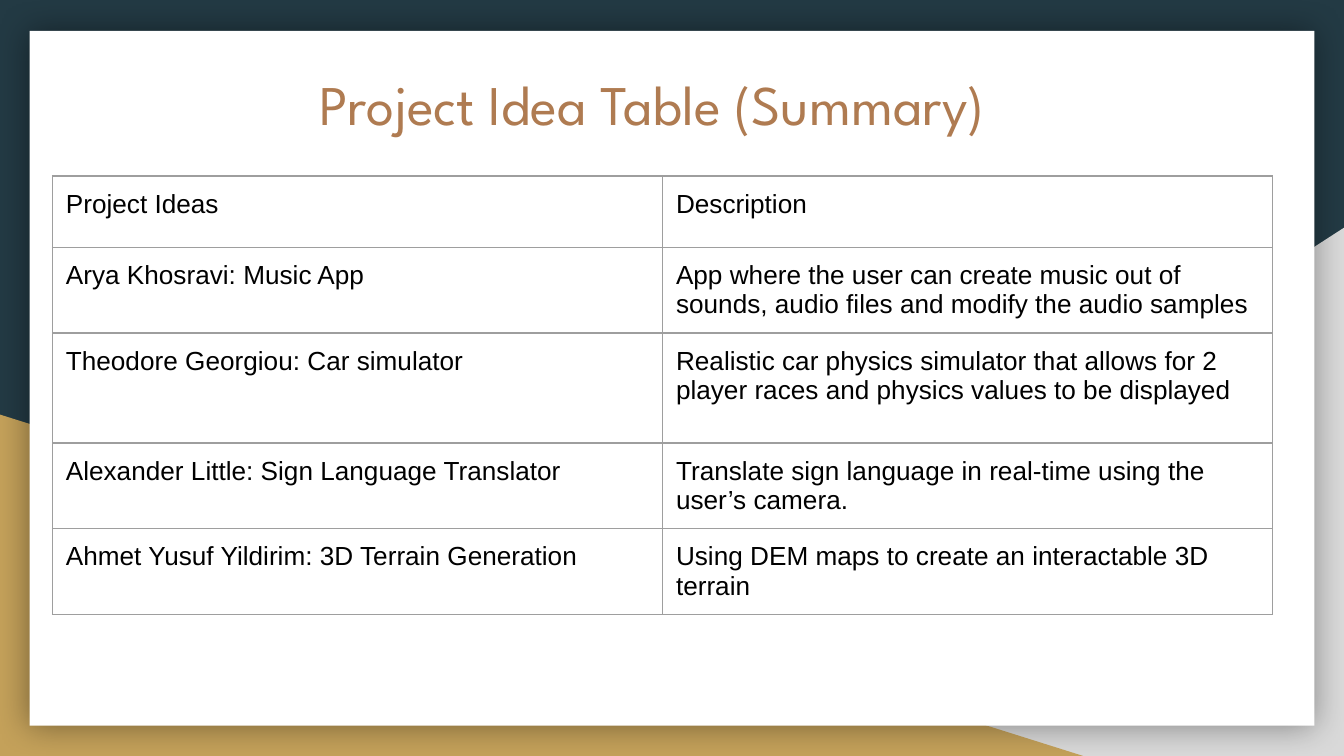
from lxml import etree
from pptx import Presentation
from pptx.dml.color import RGBColor
from pptx.enum.shapes import MSO_SHAPE
from pptx.enum.text import MSO_ANCHOR, MSO_AUTO_SIZE, PP_ALIGN
from pptx.oxml import parse_xml
from pptx.oxml.ns import nsdecls, qn
from pptx.util import Inches, Pt

# Content
TITLE = "Project Idea Table (Summary)"
IDEAS = [
    ("Project Ideas", "Description"),
    ("Arya Khosravi: Music App",
     "App where the user can create music out of sounds, audio files and modify the audio samples"),
    ("Theodore Georgiou: Car simulator",
     "Realistic car physics simulator that allows for 2 player races and physics values to be displayed"),
    ("Alexander Little: Sign Language Translator",
     "Translate sign language in real-time using the user’s camera."),
    ("Ahmet Yusuf Yildirim: 3D Terrain Generation",
     "Using DEM maps to create an interactable 3D terrain"),
]

# Format
COLORS = {"background": "233A44", "gray": "D9D9D9", "gold": "C4A15A", "card": "FFFFFF",
          "title": "AF7B51", "text": "000000", "border": "9E9E9E"}
TITLE_FONT = {"name": "League Spartan", "size": Pt(30), "bold": False}
CELL_FONT = {"name": "Arial", "size": Pt(14), "bold": False}
PADDING = {f"margin_{side}": Inches(0.1) for side in ("left", "top", "right", "bottom")}
WIDTH = 10
HEIGHT = WIDTH * 9 / 16
COLUMN_WIDTH = 4.54
ROW_HEIGHTS = [0.53, 0.53, 0.82, 0.49, 0.49]


def rgb(name):
    return RGBColor.from_string(COLORS[name])


def apply(target, values):
    for key, value in values.items():
        setattr(target, key, value)


def style_font(font, values, color):
    apply(font, values)
    font.color.rgb = rgb(color)


def add_panel(slide, kind, color, left, top, width, height):
    panel = slide.shapes.add_shape(kind, *map(Inches, (left, top, width, height)))
    panel.shadow.inherit = False
    panel.fill.solid()
    panel.fill.fore_color.rgb = rgb(color)
    panel.line.fill.background()
    return panel


def add_glow(panel):
    effects = panel._element.spPr.find(qn("a:effectLst"))
    effects.append(parse_xml(
        f'<a:outerShdw {nsdecls("a")} blurRad="{Pt(18)}" dist="0" algn="ctr" rotWithShape="0">'
        '<a:srgbClr val="000000"><a:alpha val="40000"/></a:srgbClr></a:outerShdw>'))


def add_borders(cell):
    properties = cell._tc.get_or_add_tcPr()
    for index, side in enumerate(("lnL", "lnR", "lnT", "lnB")):
        line = etree.Element(qn(f"a:{side}"), w=str(Pt(0.75)))
        fill = etree.SubElement(line, qn("a:solidFill"))
        etree.SubElement(fill, qn("a:srgbClr"), val=COLORS["border"])
        properties.insert(index, line)


prs = Presentation()
prs.slide_width, prs.slide_height = Inches(WIDTH), Inches(HEIGHT)
slide = prs.slides.add_slide(prs.slide_layouts[5])
slide.background.fill.solid()
slide.background.fill.fore_color.rgb = rgb("background")

# Corner triangles and white card
gray = add_panel(slide, MSO_SHAPE.RIGHT_TRIANGLE, "gray", WIDTH - 6.08, HEIGHT - 3.93, 6.08, 3.93)
gray._element.spPr.xfrm.set("flipH", "1")
add_panel(slide, MSO_SHAPE.RIGHT_TRIANGLE, "gold", 0, HEIGHT - 2.54, 8.06, 2.54)
card = add_panel(slide, MSO_SHAPE.RECTANGLE, "card", 0.22, 0.23, 9.56, 5.17)
add_glow(card)

# Title, brought in front of the card
title = slide.shapes.title
card._element.addnext(title._element)
apply(title, {"left": Inches(0.39), "top": Inches(0.42),
              "width": Inches(8.93), "height": Inches(1.04)})
title.text = TITLE
apply(title.text_frame, {**PADDING, "word_wrap": True, "auto_size": MSO_AUTO_SIZE.NONE,
                         "vertical_anchor": MSO_ANCHOR.TOP})
heading = title.text_frame.paragraphs[0]
heading.alignment = PP_ALIGN.CENTER
style_font(heading.font, TITLE_FONT, "title")

# Table of ideas
columns = len(IDEAS[0])
table = slide.shapes.add_table(
    len(IDEAS), columns, Inches(0.39), Inches(1.31),
    Inches(columns * COLUMN_WIDTH), Inches(sum(ROW_HEIGHTS))).table
apply(table, {"first_row": False, "horz_banding": False})
for column in table.columns:
    column.width = Inches(COLUMN_WIDTH)
for row, height, idea in zip(table.rows, ROW_HEIGHTS, IDEAS):
    row.height = Inches(height)
    for cell, text in zip(row.cells, idea):
        cell.text = text
        apply(cell, PADDING)
        cell.fill.background()
        add_borders(cell)
        style_font(cell.text_frame.paragraphs[0].font, CELL_FONT, "text")

prs.save("out.pptx")
